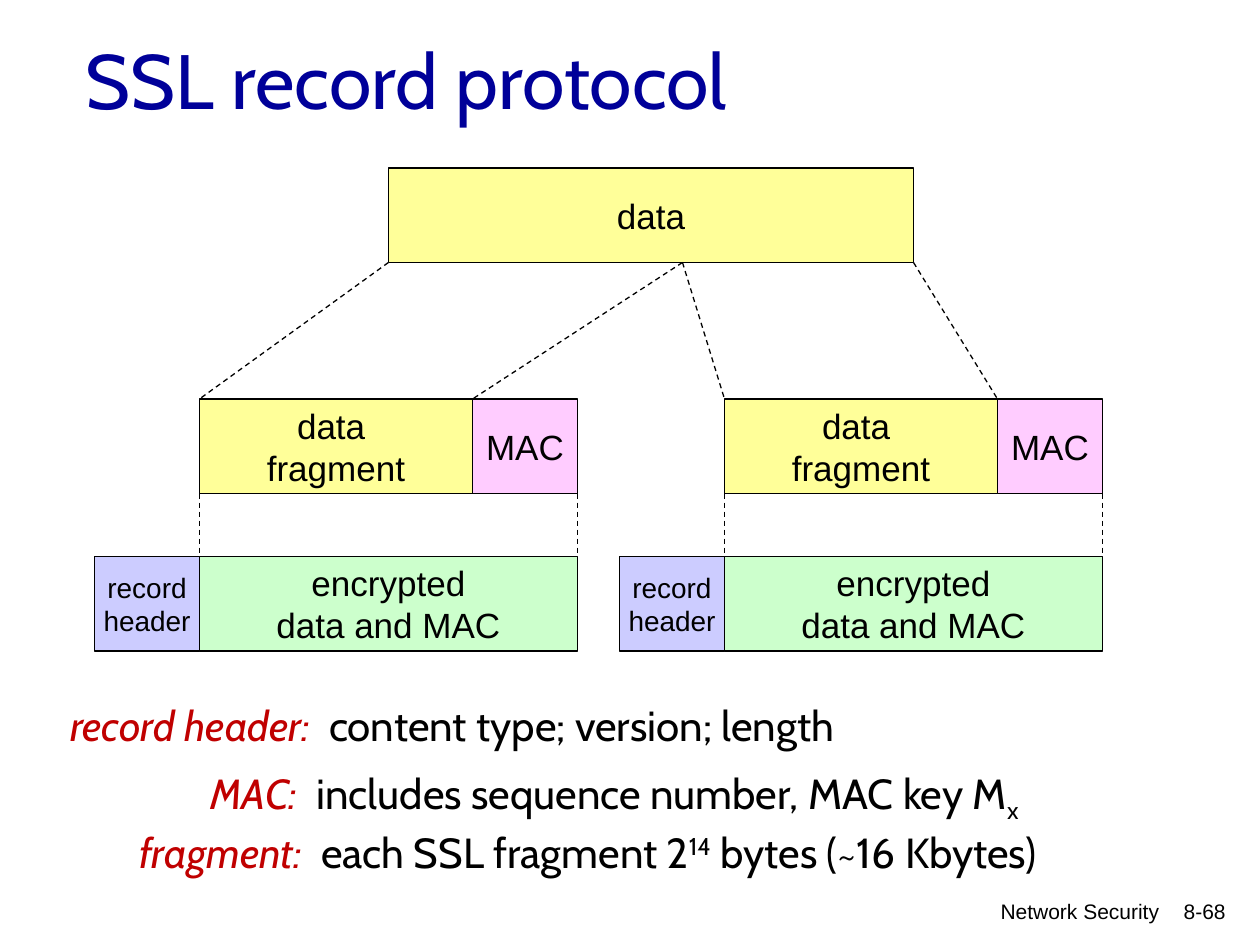
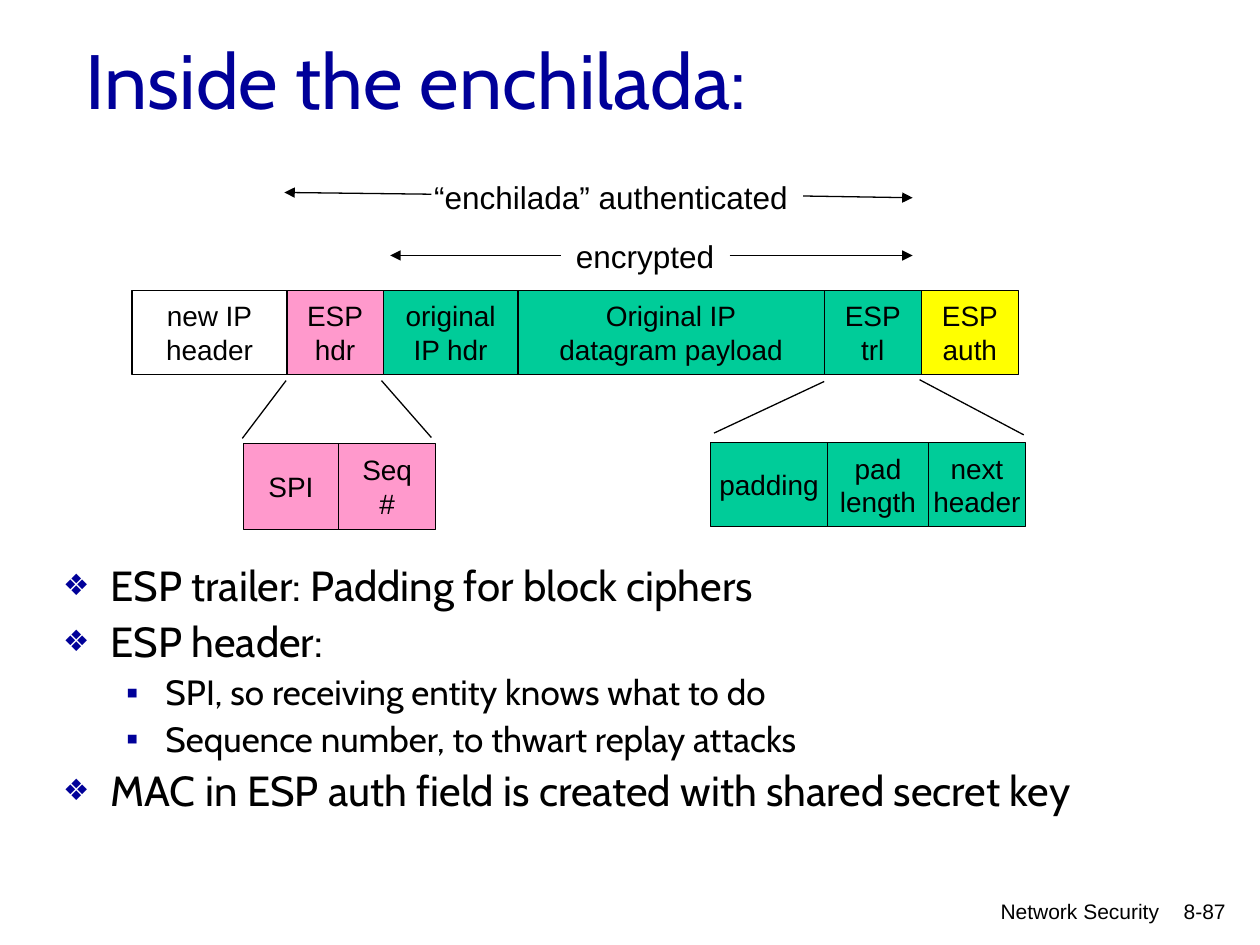
from itertools import pairwise

from lxml.etree import SubElement
from pptx import Presentation
from pptx.dml.color import RGBColor
from pptx.enum.dml import MSO_LINE
from pptx.enum.shapes import MSO_CONNECTOR, MSO_SHAPE
from pptx.enum.text import MSO_ANCHOR as Anchor, PP_ALIGN as Align
from pptx.oxml.ns import qn
from pptx.util import Pt

COLORS = {
    "ink": "000000",
    "title": "000099",
    "term": "C00000",
    "data": "FFFF99",
    "mac": "FFCCFF",
    "encrypted": "CCFFCC",
    "record": "CCCCFF",
    "esp header": "FF99CC",
    "payload": "00CC99",
    "auth": "FFFF00",
}
BODY_FONT = "Cabin"
LABEL_FONT = "Arial"
BULLETS = [
    {"char": "❖", "scale": 70, "left": 27, "hang": 27, "before": 6, "size": 24},
    {"char": "▪", "scale": 100, "left": 58.5, "hang": 22.5, "before": 5, "size": 20},
]


def rgb(name):
    return RGBColor.from_string(COLORS[name])


def write(paragraph, text, *, size, font=LABEL_FONT, color="ink", italic=False, baseline=0):
    run = paragraph.add_run()
    run.text = text
    run.font.name = font
    run.font.size = Pt(size)
    run.font.italic = italic
    run.font.color.rgb = rgb(color)
    if baseline:
        run._r.get_or_add_rPr().set("baseline", str(baseline * 1000))


def add_bullet(paragraph, level):
    properties = paragraph._p.get_or_add_pPr()
    properties.set("marL", str(Pt(level["left"])))
    properties.set("indent", str(-Pt(level["hang"])))
    bullet_color = SubElement(properties, qn("a:buClr"))
    SubElement(bullet_color, qn("a:srgbClr"), val=COLORS["title"])
    SubElement(properties, qn("a:buSzPct"), val=str(level["scale"] * 1000))
    SubElement(properties, qn("a:buFont"), typeface=LABEL_FONT)
    SubElement(properties, qn("a:buChar"), char=level["char"])


class Deck:
    def __init__(self):
        self.presentation = Presentation()
        self.presentation.slide_width = Pt(720)
        self.presentation.slide_height = Pt(540)
        self.slide = None

    def add_slide(self, title, number):
        self.slide = self.presentation.slides.add_slide(self.presentation.slide_layouts[6])
        self.text(654.5, 510, 53, 24, number, size=12, align=Align.RIGHT)
        self.text(366, 510, 303.5, 24, "Network Security", size=12, align=Align.RIGHT)
        self.text(42, 0, 612, 90, title, size=44, font=BODY_FONT, color="title",
                  anchor=Anchor.MIDDLE)

    def frame(self, x, y, width, height, anchor=Anchor.TOP):
        frame = self.slide.shapes.add_textbox(Pt(x), Pt(y), Pt(width), Pt(height)).text_frame
        frame.word_wrap = True
        frame.vertical_anchor = anchor
        return frame

    def text(self, x, y, width, height, text, align=Align.LEFT, anchor=Anchor.TOP, **style):
        paragraph = self.frame(x, y, width, height, anchor).paragraphs[0]
        paragraph.alignment = align
        write(paragraph, text, **style)

    def definition(self, x, y, width, term, *parts):
        paragraph = self.frame(x, y, width, 36).paragraphs[0]
        write(paragraph, f"{term}:  ", size=24, font=BODY_FONT, color="term", italic=True)
        for text, baseline in parts:
            write(paragraph, text, size=24, font=BODY_FONT, baseline=baseline)

    def bullets(self, x, y, width, height, items):
        frame = self.frame(x, y, width, height)
        for index, (depth, text) in enumerate(items):
            paragraph = frame.add_paragraph() if index else frame.paragraphs[0]
            level = BULLETS[depth]
            add_bullet(paragraph, level)
            paragraph.line_spacing = 0.9
            paragraph.space_before = Pt(level["before"] if index else 0)
            write(paragraph, text, size=level["size"], font=BODY_FONT)

    def field(self, x, y, width, height, label, fill=None, size=16):
        box = self.slide.shapes.add_shape(
            MSO_SHAPE.RECTANGLE, Pt(x), Pt(y), Pt(width), Pt(height))
        box.shadow.inherit = False
        if fill:
            box.fill.solid()
            box.fill.fore_color.rgb = rgb(fill)
        else:
            box.fill.background()
        box.line.color.rgb = rgb("ink")
        box.line.width = Pt(0.75)
        frame = box.text_frame
        frame.word_wrap = False
        frame.vertical_anchor = Anchor.MIDDLE
        for index, line in enumerate(label.split("\n")):
            paragraph = frame.add_paragraph() if index else frame.paragraphs[0]
            paragraph.alignment = Align.CENTER
            write(paragraph, line, size=size)

    def packet(self, y, height, edges, fields):
        for (left, right), (label, fill) in zip(pairwise(edges), fields):
            self.field(left, y, right - left, height, label, fill)

    def line(self, x1, y1, x2, y2, dashed=False, arrow=False):
        connector = self.slide.shapes.add_connector(
            MSO_CONNECTOR.STRAIGHT, Pt(x1), Pt(y1), Pt(x2), Pt(y2))
        connector.line.color.rgb = rgb("ink")
        connector.line.width = Pt(0.75)
        if dashed:
            connector.line.dash_style = MSO_LINE.DASH
        if arrow:
            SubElement(connector.line._get_or_add_ln(), qn("a:tailEnd"), type="triangle")
        SubElement(connector._element.spPr, qn("a:effectLst"))


def build_record_protocol(deck):
    deck.add_slide("SSL record protocol", "8-68")
    data_top, fragment_top, record_top, height = 96, 228, 318, 54
    deck.field(222, data_top, 300, height, "data", "data", 20)
    for record_left in (54, 354):
        left, mac_left, right = (record_left + offset for offset in (60, 216, 276))
        deck.field(left, fragment_top, 156, height, "data \nfragment", "data", 20)
        deck.field(mac_left, fragment_top, 60, height, "MAC", "mac", 20)
        deck.field(left, record_top, 216, height, "encrypted\ndata and MAC", "encrypted", 20)
        deck.field(record_left, record_top, 60, height, "record\nheader", "record")
        for x in (left, right):
            deck.line(x, fragment_top + height, x, record_top, dashed=True)
    for data_x, fragment_x in ((222, 114), (390, 270), (390, 414), (522, 570)):
        deck.line(data_x, data_top + height, fragment_x, fragment_top, dashed=True)

    deck.definition(33, 396, 513, "record header", ("content type; version; length", 0))
    deck.definition(113, 435, 530, "MAC",
                    ("includes sequence number, MAC key M", 0), ("x", -25))
    deck.definition(72.5, 468.5, 590, "fragment",
                    ("each SSL fragment 2", 0), ("14", 30), (" bytes (~16 Kbytes)", 0))


def build_enchilada(deck):
    deck.add_slide("Inside the enchilada:", "8-87")
    deck.bullets(29, 319.5, 612, 186.5, [
        (0, "ESP trailer: Padding for block ciphers"),
        (0, "ESP header:"),
        (1, "SPI, so receiving entity knows what to do"),
        (1, "Sequence number, to thwart replay attacks"),
        (0, "MAC in ESP auth field is created with shared secret key"),
    ])
    deck.packet(166, 48, (75.5, 164, 219, 296, 471, 526.5, 582), [
        ("new IP\nheader", None),
        ("ESP\nhdr", "esp header"),
        ("original\nIP hdr", "payload"),
        ("Original IP\ndatagram payload", "payload"),
        ("ESP\ntrl", "payload"),
        ("ESP\nauth", "auth"),
    ])
    deck.packet(253, 48, (406, 473, 530.5, 586), [
        ("padding", "payload"),
        ("pad\nlength", "payload"),
        ("next\nheader", "payload"),
    ])
    deck.packet(253.5, 49, (139, 193.5, 249), [
        ("SPI", "esp header"),
        ("Seq\n#", "esp header"),
    ])
    deck.text(322, 132, 100, 29, "encrypted", size=18)
    deck.text(241, 98, 222, 29, "“enchilada” authenticated", size=18)
    for extent in ((417, 146, 521.5, 146), (320.5, 146, 223, 146),
                   (459, 112, 521.5, 113), (246.5, 111, 162.5, 110)):
        deck.line(*extent, arrow=True)
    for callout in ((408, 247.5, 471, 218), (585, 248.5, 525.5, 217),
                    (138.5, 250.5, 163.5, 217.5), (218, 217.5, 246.5, 250)):
        deck.line(*callout)


def main():
    deck = Deck()
    build_record_protocol(deck)
    build_enchilada(deck)
    deck.presentation.save("out.pptx")


if __name__ == "__main__":
    main()
